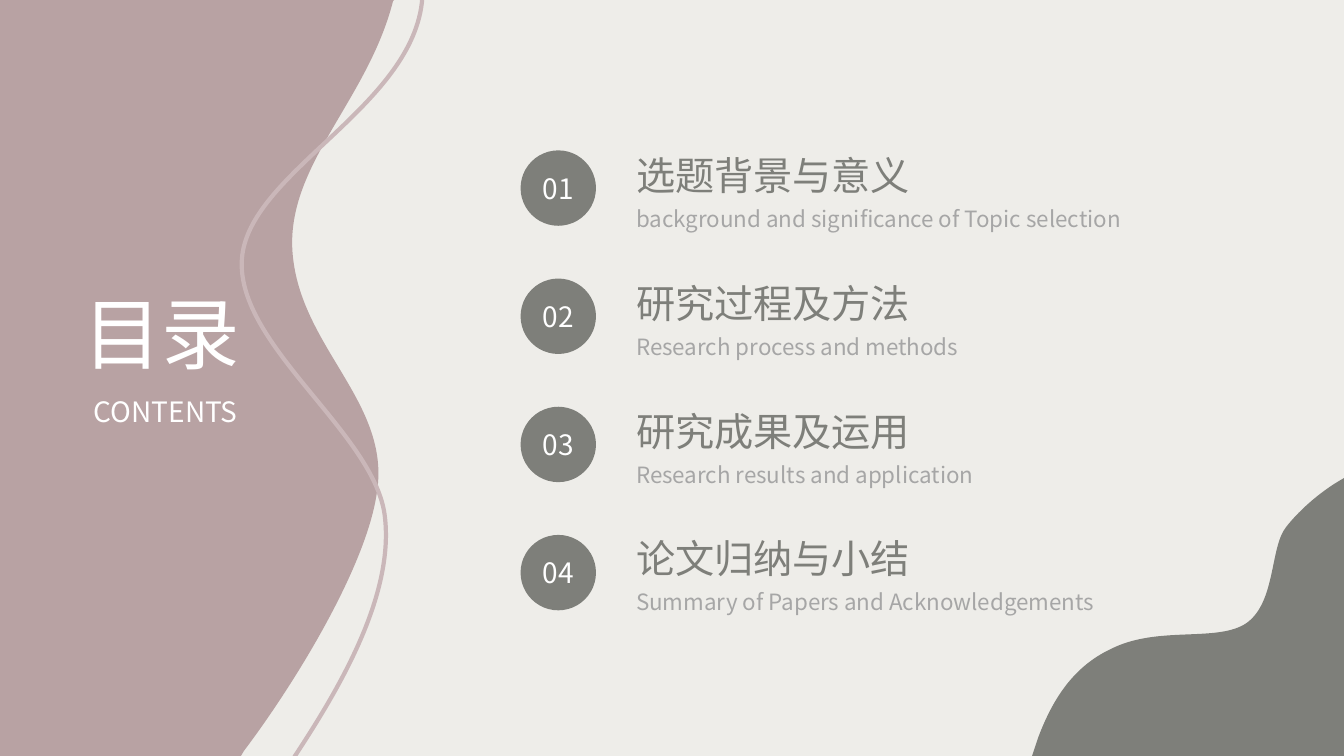
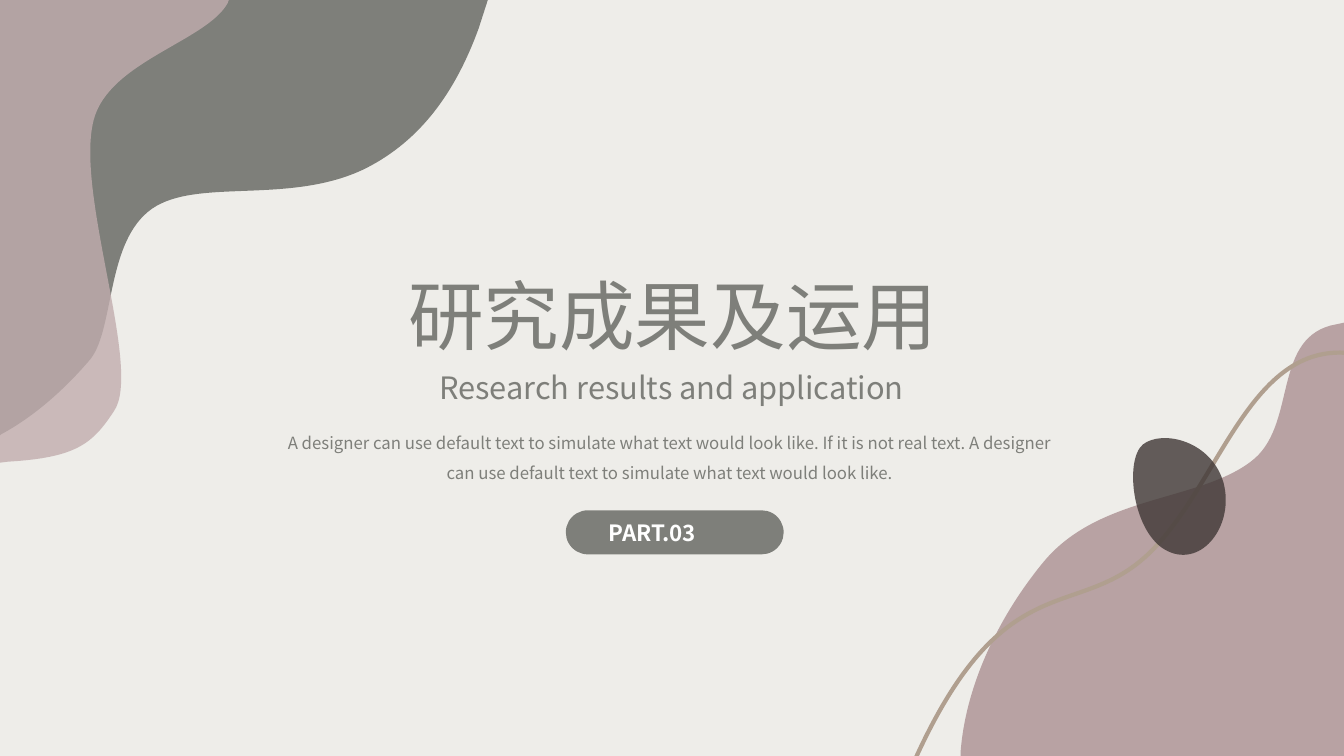
from dataclasses import dataclass

from lxml import etree
from pptx import Presentation
from pptx.dml.color import RGBColor as RGB
from pptx.enum.shapes import MSO_SHAPE as SHAPE
from pptx.enum.text import MSO_ANCHOR as ANCHOR
from pptx.enum.text import MSO_AUTO_SIZE as FIT
from pptx.enum.text import PP_ALIGN as ALIGN
from pptx.oxml.ns import qn
from pptx.util import Cm, Pt


@dataclass(frozen=True)
class Theme:
    font: str = "Noto Sans CJK SC"
    back: str = "EEEDE9"
    rose: str = "B8A2A3"
    blush: str = "C1ADAE"
    thread: str = "CAB7B9"
    sand: str = "B09F8F"
    stone: str = "7E7F7A"
    dark: str = "3F3735"
    mute: str = "A6A6A6"
    white: str = "FFFFFF"
    cover: int = 56
    title: int = 54
    head: int = 28
    sub: int = 22
    label: int = 20
    note: int = 16
    body: int = 12
    stroke: int = 3


T = Theme()

TOPICS = [
    ("选题背景与意义", "background and significance of Topic selection"),
    ("研究过程及方法", "Research process and methods"),
    ("研究成果及运用", "Research results and application"),
    ("论文归纳与小结", "Summary of Papers and Acknowledgements"),
]
PART = 3
INTRO = (
    "A designer can use default text to simulate what text would look like. "
    "If it is not real text. A designer can use default text to simulate "
    "what text would look like."
)

# Outlines use a grid of 100 units per 2.54 cm: pairs are lines, sixes are curves.
GRID = Cm(2.54) / 100

WAVE = [
    (239, 750), (159, 750), (159, 0), (391, 0), (390, 1),
    (365, 99, 286, 162, 290, 247), (295, 343, 388, 398, 374, 488),
    (364, 561, 294, 676, 242, 745),
]
THREAD = [
    (419, -2), (411, 106, 246, 171, 240, 257),
    (234, 343, 374, 431, 382, 514), (391, 596, 330, 693, 292, 751),
]
HILL = [
    (1334, 750), (1024, 750), (1030, 732),
    (1045, 692, 1066, 661, 1102, 644), (1149, 620, 1208, 638, 1237, 618),
    (1266, 597, 1260, 543, 1276, 523), (1286, 510, 1307, 489, 1334, 474),
]
CLOUD = [
    (0, 0), (484, 0), (475, 28), (452, 91, 418, 139, 363, 167),
    (288, 204, 196, 176, 151, 207), (105, 239, 114, 325, 90, 356),
    (74, 375, 42, 409, 1, 431), (0, 432),
]
VEIL = [
    (0, 0), (0, 459), (8, 458), (76, 454, 92, 440, 113, 408),
    (142, 367, 74, 192, 93, 119), (108, 61, 205, 41, 226, 3), (227, 0),
]
MOUND = [
    (1334, 320), (1334, 751), (953, 751), (953, 747),
    (958, 678, 993, 609, 1035, 558), (1090, 491, 1188, 498, 1241, 458),
    (1287, 424, 1262, 339, 1320, 323),
]
TRAIL = [
    (1334, 350), (1238, 345, 1209, 483, 1139, 550),
    (1068, 617, 997, 559, 909, 751),
]
PEBBLE = [
    (1134, 441), (1153, 426, 1202, 437, 1214, 479),
    (1225, 521, 1193, 563, 1159, 547), (1124, 531, 1115, 457, 1134, 441),
]


def paint(shape, color, alpha=100):
    shape.shadow.inherit = False
    shape.line.fill.background()
    shape.fill.solid()
    shape.fill.fore_color.rgb = RGB.from_string(color)
    if alpha < 100:
        tone = next(shape.element.spPr.iter(qn("a:srgbClr")))
        etree.SubElement(tone, qn("a:alpha")).set("val", str(alpha * 1000))


def outline(slide, path, closed):
    dots = [seg[i:i + 2] for seg in path for i in range(0, len(seg), 2)]
    pen = slide.shapes.build_freeform(*dots[0], scale=GRID)
    pen.add_line_segments(dots[1:], close=closed)
    shape = pen.convert_to_shape()
    lines = iter(list(shape.element.iter(qn("a:lnTo"))))
    for seg in path[1:]:
        line = next(lines)
        if len(seg) == 6:
            bend = etree.Element(qn("a:cubicBezTo"))
            line.addprevious(bend)
            for part in (line, next(lines), next(lines)):
                bend.append(part[0])
                part.getparent().remove(part)
    return shape


def blob(slide, path, color, alpha=100):
    paint(outline(slide, path, True), color, alpha)


def curve(slide, path, color):
    shape = outline(slide, path, False)
    shape.shadow.inherit = False
    shape.fill.background()
    shape.line.color.rgb = RGB.from_string(color)
    shape.line.width = Pt(T.stroke)


def style(para, size, color, align=ALIGN.CENTER, bold=False, space=1.0):
    para.alignment = align
    para.line_spacing = space
    para.space_before = Pt(0)
    for run in para.runs:
        font = run.font
        font.name, font.size, font.bold = T.font, Pt(size), bold
        font.color.rgb = RGB.from_string(color)
        latin = next(run._r.iter(qn("a:latin")))
        latin.addnext(etree.Element(qn("a:ea"), typeface=T.font))


def frame(shape, anchor=ANCHOR.MIDDLE, pad=0):
    text = shape.text_frame
    text.word_wrap = True
    text.auto_size = FIT.NONE
    text.vertical_anchor = anchor
    text.margin_left = Cm(pad)
    text.margin_right = text.margin_top = text.margin_bottom = 0
    return text


def write(shape, words, size, color, pad=0, **look):
    text = frame(shape, pad=pad)
    text.text = words
    style(text.paragraphs[0], size, color, **look)


def place(shape, box):
    shape.left, shape.top, shape.width, shape.height = map(Cm, box)
    shape.element.getparent().append(shape.element)
    return shape


def label(slide, box):
    return slide.shapes.add_textbox(*map(Cm, box))


def solid(slide, kind, box, color):
    shape = slide.shapes.add_shape(kind, *map(Cm, box))
    paint(shape, color)
    return shape


def contents(deck):
    slide = deck.slides.add_slide(deck.slide_layouts[1])
    blob(slide, WAVE, T.rose)
    curve(slide, THREAD, T.thread)
    blob(slide, HILL, T.stone)
    solid(slide, SHAPE.RECTANGLE, (0, 0, 4.1, 19.05), T.rose)

    for i in range(len(TOPICS)):
        box = (13.12, 3.79 + 3.23 * i, 1.9, 1.9)
        dot = solid(slide, SHAPE.OVAL, box, T.stone)
        write(dot, f"{i + 1:02}", T.label, T.white)

    body = place(slide.placeholders[1], (16.03, 3.82, 14.4, 12.7))
    text = frame(body, ANCHOR.TOP)
    text.text = "\n".join(line for pair in TOPICS for line in pair)
    for i, para in enumerate(text.paragraphs):
        if i % 2:
            style(para, T.note, T.mute, ALIGN.LEFT, space=Pt(24))
        else:
            style(para, T.head, T.stone, ALIGN.LEFT)
        para.space_after = Pt(33.6 * (i % 2))
        props = para._p.get_or_add_pPr()
        props.set("marL", "0")
        props.set("indent", "0")
        etree.SubElement(props, qn("a:buNone"))

    write(label(slide, (1.52, 9.6, 5.31, 1.52)), "CONTENTS", T.label, T.white)
    title = place(slide.shapes.title, (1.32, 6.6, 5.51, 3.56))
    write(title, "目录", T.cover, T.white)


def section(deck):
    slide = deck.slides.add_slide(deck.slide_layouts[0])
    blob(slide, CLOUD, T.stone)
    blob(slide, VEIL, T.blush, 80)
    blob(slide, MOUND, T.rose)
    curve(slide, TRAIL, T.sand)
    blob(slide, PEBBLE, T.dark, 80)

    name, gloss = TOPICS[PART - 1]
    sub = place(slide.placeholders[1], (7.56, 9, 18.72, 1.52))
    write(sub, gloss, T.sub, T.stone)
    intro = label(slide, (6.87, 10.14, 20.02, 2.54))
    write(intro, INTRO, T.body, T.stone, space=1.5)
    title = place(slide.shapes.title, (9.03, 5.79, 15.85, 3.81))
    write(title, name, T.title, T.stone, space=1.2)

    box = (14.26, 12.86, 5.49, 1.11)
    pill = solid(slide, SHAPE.ROUNDED_RECTANGLE, box, T.stone)
    pill.adjustments[0] = 0.5
    write(pill, f"PART.{PART:02}", T.note, T.white, pad=0.92,
          align=ALIGN.LEFT, bold=True)


def main():
    deck = Presentation()
    deck.slide_width, deck.slide_height = Cm(33.87), Cm(19.05)
    fill = deck.slide_master.background.fill
    fill.solid()
    fill.fore_color.rgb = RGB.from_string(T.back)
    contents(deck)
    section(deck)
    deck.save("out.pptx")


if __name__ == "__main__":
    main()
